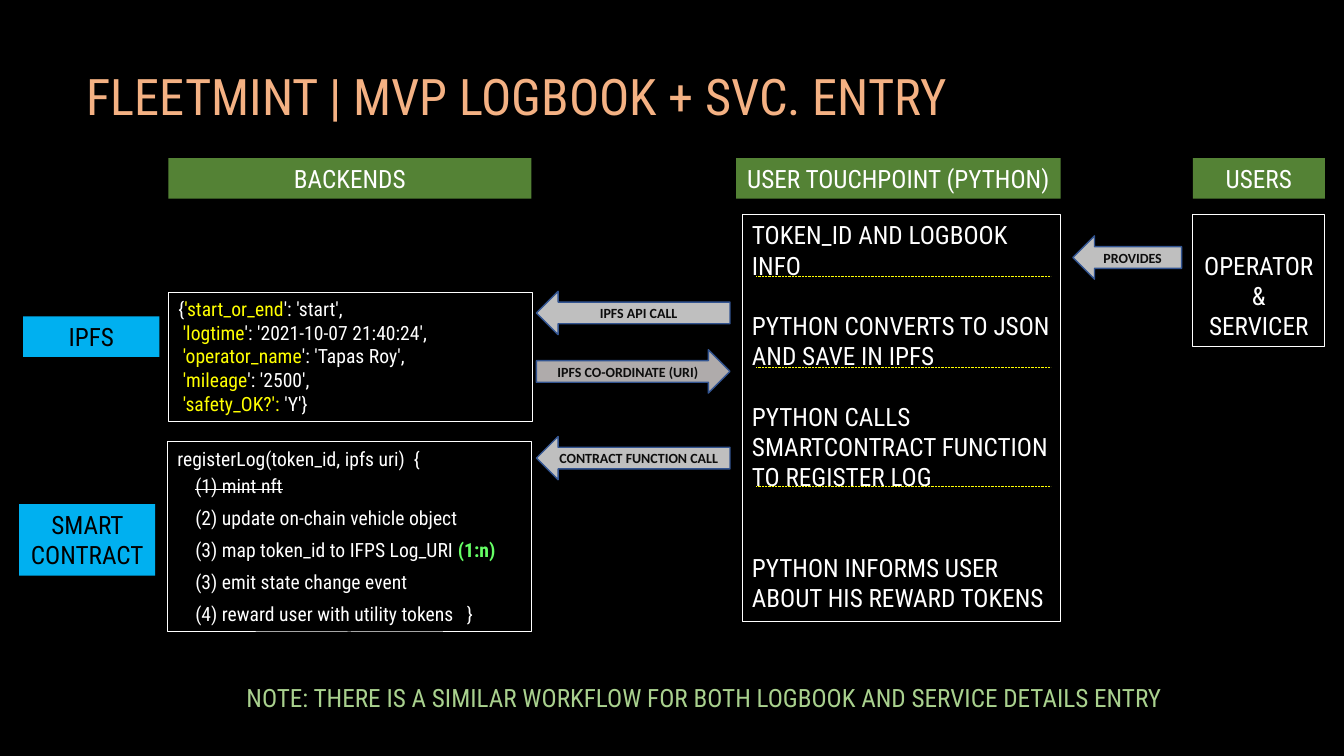
import pptx
import pptx.dml.color
import pptx.enum.dml
import pptx.enum.shapes
import pptx.enum.text
import pptx.oxml
import pptx.oxml.ns
import pptx.util

Inches = pptx.util.Inches
Pt = pptx.util.Pt
SHAPES = pptx.enum.shapes.MSO_SHAPE
ALIGN = pptx.enum.text.PP_ALIGN
ANCHOR = pptx.enum.text.MSO_ANCHOR

COLORS = {
    "black": "000000", "white": "FFFFFF", "peach": "F4B183", "green": "548235",
    "blue": "00B0F0", "yellow": "FFFF00", "lime": "66FF66", "note": "A9D18E",
    "arrow": "BFBFBF", "return_arrow": "AFABAB", "arrow_line": "325491",
    "arrow_text": "0D0D0D",
}
HEADING_FONT = "Roboto Condensed"
LINE_HEIGHT = 21.6
HEADER_TOP, HEADER_HEIGHT = 1.57, 0.4
ARROW_HEIGHT = 0.43


def color(name):
    return pptx.dml.color.RGBColor.from_string(COLORS[name])


def add_run(paragraph, text, size, color_name="white", font=HEADING_FONT, bold=False):
    run = paragraph.add_run()
    run.text = text
    run.font.size = Pt(size)
    run.font.name = font
    run.font.bold = bold
    run.font.color.rgb = color(color_name)
    return run


def add_block(slide, box, kind=SHAPES.RECTANGLE, fill=None, line=None, line_width=0.75):
    """Add a plain shape whose text starts at its top."""
    shape = slide.shapes.add_shape(kind, *map(Inches, box))
    shape.shadow.inherit = False
    if fill:
        shape.fill.solid()
        shape.fill.fore_color.rgb = color(fill)
    else:
        shape.fill.background()
    if line:
        shape.line.color.rgb = color(line)
        shape.line.width = Pt(line_width)
    else:
        shape.line.fill.background()
    shape.text_frame.word_wrap = True
    shape.text_frame.vertical_anchor = ANCHOR.TOP
    return shape


def add_paragraph(frame, index, alignment=ALIGN.LEFT):
    paragraph = frame.add_paragraph() if index else frame.paragraphs[0]
    paragraph.alignment = alignment
    return paragraph


def add_label(slide, box, text, fill, text_color="white"):
    shape = add_block(slide, box, fill=fill)
    add_run(add_paragraph(shape.text_frame, 0, ALIGN.CENTER), text, 18, text_color)


def add_arrow(slide, box, text, kind=SHAPES.LEFT_ARROW, fill="arrow"):
    shape = add_block(slide, box, kind, fill, "arrow_line", 1)
    shape.text_frame.vertical_anchor = ANCHOR.MIDDLE
    paragraph = add_paragraph(shape.text_frame, 0, ALIGN.CENTER)
    add_run(paragraph, text, 10, "arrow_text", "Calibri", True)


def add_title(slide, box, text):
    title = slide.shapes.title
    title.left, title.top, title.width, title.height = map(Inches, box)
    frame = title.text_frame
    frame.auto_size = pptx.enum.text.MSO_AUTO_SIZE.NONE
    frame.vertical_anchor = ANCHOR.BOTTOM
    paragraph = add_paragraph(frame, 0)
    paragraph.line_spacing = 0.9
    add_run(paragraph, text, 36, "peach")


def add_log_record(slide, box):
    frame = add_block(slide, box, line="white").text_frame
    entries = [
        ("{", "'start_or_end", "': 'start',"),
        (" ", "'logtime", "': '2021-10-07 21:40:24',"),
        (" ", "'operator_name", "': 'Tapas Roy',"),
        (" ", "'mileage", "': '2500',"),
        (" ", "'safety_OK?': ", "'Y'}"),
    ]
    for index, (opening, key, value) in enumerate(entries):
        paragraph = add_paragraph(frame, index)
        add_run(paragraph, opening, 14)
        add_run(paragraph, key, 14, "yellow")
        add_run(paragraph, value, 14)


def add_contract_code(slide, box):
    frame = add_block(slide, box, line="white").text_frame
    add_run(add_paragraph(frame, 0), "registerLog(token_id, ipfs uri)  {", 14)
    steps = [
        "(1) mint nft",
        "(2) update on-chain vehicle object",
        "(3) map token_id to IFPS Log_URI ",
        "(3) emit state change event",
        "(4) reward user with utility tokens   }",
    ]
    for index, step in enumerate(steps, 1):
        paragraph = add_paragraph(frame, index)
        paragraph.space_before = paragraph.space_after = Pt(3)
        add_run(paragraph, "    ", 14)
        run = add_run(paragraph, step, 14)
        if index == 1:
            run._r.get_or_add_rPr().set("strike", "sngStrike")
        if index == 3:
            add_run(paragraph, "(1:n)", 14, "lime", bold=True)


def add_touchpoint(slide, box):
    """Add the Python steps with a dotted rule under each of the first three."""
    left, top, width, _ = box
    frame = add_block(slide, box, line="white").text_frame
    steps = [
        ("TOKEN_ID AND LOGBOOK INFO", 0),
        ("PYTHON CONVERTS TO JSON AND SAVE IN IPFS", 1),
        ("PYTHON CALLS SMARTCONTRACT FUNCTION TO REGISTER LOG", 1),
        ("PYTHON INFORMS USER ABOUT HIS REWARD TOKENS", 2),
    ]
    for index, (step, lines_before) in enumerate(steps):
        paragraph = add_paragraph(frame, index)
        if lines_before:
            paragraph.space_before = Pt(lines_before * LINE_HEIGHT)
        add_run(paragraph, step, 18)
    for offset in (0.61, 1.51, 2.7):
        rule = slide.shapes.add_connector(
            pptx.enum.shapes.MSO_CONNECTOR.STRAIGHT,
            Inches(left + 0.14), Inches(top + offset),
            Inches(left + width - 0.1), Inches(top + offset))
        rule.line.color.rgb = color("yellow")
        rule.line.width = Pt(0.5)
        rule.line.dash_style = pptx.enum.dml.MSO_LINE.ROUND_DOT
        properties = rule._element.spPr
        properties.append(properties.makeelement(pptx.oxml.ns.qn("a:effectLst"), {}))


def add_users(slide, box):
    frame = add_block(slide, box, line="white").text_frame
    frame.margin_top = Inches(0.35)
    for index, text in enumerate(("OPERATOR &", "SERVICER")):
        add_run(add_paragraph(frame, index, ALIGN.CENTER), text, 18)


def add_headers(slide):
    for left, width, text in ((1.67, 3.6, "BACKENDS"),
                              (7.3, 3.22, "USER TOUCHPOINT (PYTHON)"),
                              (11.83, 1.31, "USERS")):
        add_label(slide, (left, HEADER_TOP, width, HEADER_HEIGHT), text, "green")


def add_calls(slide, left, width):
    """Add the arrows between the backends and the touchpoint."""
    add_arrow(slide, (left, 2.89, width, ARROW_HEIGHT), "IPFS API CALL")
    add_arrow(slide, (left, 3.47, width, ARROW_HEIGHT), "IPFS CO-ORDINATE (URI)",
              SHAPES.RIGHT_ARROW, "return_arrow")
    add_arrow(slide, (left, 4.33, width, ARROW_HEIGHT), "CONTRACT FUNCTION CALL")


def main():
    presentation = pptx.Presentation()
    presentation.slide_width = Inches(13.33)
    presentation.slide_height = Inches(7.5)
    slide = presentation.slides.add_slide(presentation.slide_layouts[5])
    slide.background.fill.solid()
    slide.background.fill.fore_color.rgb = color("black")

    add_title(slide, (0.76, 0.67, 10, 0.63), "FLEETMINT | MVP LOGBOOK + SVC. ENTRY")
    add_headers(slide)
    add_users(slide, (11.83, 2.13, 1.31, 1.31))
    add_touchpoint(slide, (7.36, 2.13, 3.16, 4.04))
    add_arrow(slide, (10.64, 2.34, 1.08, ARROW_HEIGHT), "PROVIDES")
    add_label(slide, (0.23, 3.14, 1.35, 0.4), "IPFS", "blue", "black")
    add_log_record(slide, (1.67, 2.9, 3.61, 1.28))
    add_label(slide, (0.19, 5, 1.35, 0.71), "SMART CONTRACT", "blue", "black")
    add_contract_code(slide, (1.66, 4.38, 3.61, 1.89))
    add_calls(slide, 5.32, 1.92)
    add_label(slide, (1.98, 6.72, 10.01, 0.4),
              "NOTE: THERE IS A SIMILAR WORKFLOW FOR BOTH LOGBOOK AND SERVICE DETAILS ENTRY",
              "black", "note")
    presentation.save("out.pptx")


if __name__ == "__main__":
    main()
